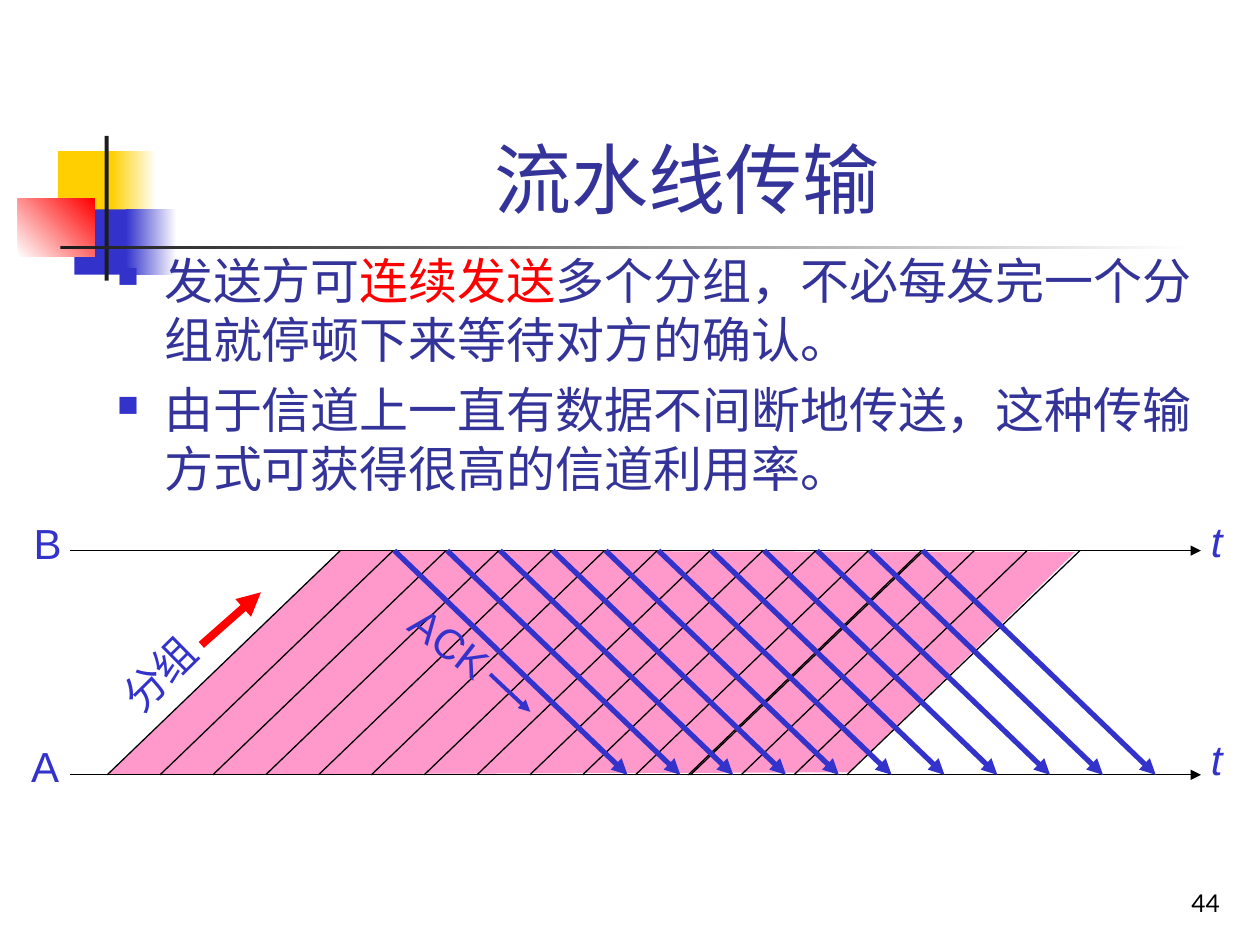
import pptx
import pptx.util
import pptx.dml.color
import pptx.enum.shapes
import pptx.enum.text
import pptx.oxml.ns
import lxml.etree

Cm, Pt = pptx.util.Cm, pptx.util.Pt
RGBColor = pptx.dml.color.RGBColor
MSO_SHAPE = pptx.enum.shapes.MSO_SHAPE
PP_ALIGN = pptx.enum.text.PP_ALIGN
MSO_ANCHOR = pptx.enum.text.MSO_ANCHOR
qn = pptx.oxml.ns.qn

WHITE = RGBColor(0xFF, 0xFF, 0xFF)
BLACK = RGBColor(0x00, 0x00, 0x00)
CHARCOAL = RGBColor(0x1C, 0x1C, 0x1C)
YELLOW = RGBColor(0xFF, 0xCF, 0x01)
RED = RGBColor(0xFF, 0x00, 0x00)
BLUE = RGBColor(0x33, 0x33, 0xCC)
NAVY = RGBColor(0x33, 0x33, 0x99)
PINK = RGBColor(0xFF, 0x99, 0xCC)

# Time diagram, in centimetres
LINE_A, LINE_B = 15.62, 11.1
SLANT = 4.7
FIRST_PACKET, LAST_PACKET, PACKETS = 2.16, 17.07, 15
STEP = (LAST_PACKET - FIRST_PACKET) / (PACKETS - 1)
FIRST_ACK, ACKS = 7.95, 11


def add_block(page, left, top, width, height, start, end=None, angle=0):
    """Add a rectangle with a plain fill, or a gradient when end is given."""
    block = page.shapes.add_shape(
        MSO_SHAPE.RECTANGLE, Cm(left), Cm(top), Cm(width), Cm(height))
    block.shadow.inherit = False
    block.line.fill.background()
    if end is None:
        block.fill.solid()
        block.fill.fore_color.rgb = start
    else:
        block.fill.gradient()
        block.fill.gradient_angle = angle
        for stop, color in zip(block.fill.gradient_stops, (start, end)):
            stop.color.rgb = color


def add_line(page, x1, y1, x2, y2, color=BLACK, width=0.75, arrow=False):
    line = page.shapes.add_connector(
        pptx.enum.shapes.MSO_CONNECTOR.STRAIGHT, Cm(x1), Cm(y1), Cm(x2), Cm(y2))
    line.line.color.rgb = color
    line.line.width = Pt(width)
    if arrow:
        outline = line.line._get_or_add_ln()
        lxml.etree.SubElement(outline, qn("a:tailEnd"), type="triangle")
    lxml.etree.SubElement(line._element.spPr, qn("a:effectLst"))


def add_box(page, left, top, width, height, anchor=MSO_ANCHOR.TOP, wrap=True):
    box = page.shapes.add_textbox(Cm(left), Cm(top), Cm(width), Cm(height))
    box.text_frame.word_wrap = wrap
    box.text_frame.vertical_anchor = anchor
    return box


def style(para, size, color, name="Arial", align=PP_ALIGN.LEFT):
    para.alignment = align
    para.font.size = Pt(size)
    para.font.name = name
    para.font.color.rgb = color


def add_label(page, text, left, top, width, rotation=0, italic=False):
    box = add_box(page, left, top, width, 1.27, wrap=False)
    box.text_frame.auto_size = pptx.enum.text.MSO_AUTO_SIZE.SHAPE_TO_FIT_TEXT
    box.rotation = rotation
    para = box.text_frame.paragraphs[0]
    para.text = text
    style(para, 24, BLUE)
    para.font.italic = italic


def add_bullet(para):
    properties = para._p.get_or_add_pPr()
    properties.set("marL", str(Cm(0.95)))
    properties.set("indent", str(-Cm(0.95)))
    color = lxml.etree.SubElement(properties, qn("a:buClr"))
    lxml.etree.SubElement(color, qn("a:srgbClr"), val=str(BLUE))
    lxml.etree.SubElement(properties, qn("a:buSzPct"), val="60000")
    lxml.etree.SubElement(properties, qn("a:buChar"), char="■")


def add_decoration(page):
    add_block(page, 1.17, 3.05, 1.22, 1.32, YELLOW)
    add_block(page, 2.24, 3.05, 0.91, 1.32, YELLOW, WHITE)
    add_block(page, 1.5, 4.22, 1.17, 1.32, BLUE)
    add_block(page, 2.54, 4.22, 1.02, 1.32, BLUE, WHITE)
    add_block(page, 0.36, 4.01, 1.55, 1.17, WHITE, RED, angle=45)
    add_block(page, 2.11, 2.74, 0.08, 2.92, CHARCOAL)
    add_block(page, 1.22, 4.95, 22.86, 0.08, CHARCOAL, WHITE)


def add_texts(page):
    # Page number and title
    for text, place, size, color, name, align in (
            ("44", (19.56, 17.35, 5.28, 1.27), 14, BLACK, "Lato", PP_ALIGN.RIGHT),
            ("流水线传输 ", (3.2, 0.58, 21.64, 4.06), 44, NAVY, "Arial",
             PP_ALIGN.CENTER)):
        para = add_box(page, *place, anchor=MSO_ANCHOR.BOTTOM).text_frame.paragraphs[0]
        para.text = text
        style(para, size, color, name, align)

    # Bulleted points
    points = (
        (("发送方可", NAVY), ("连续发送", RED),
         ("多个分组，不必每发完一个分组就停顿下来等待对方的确认。", NAVY)),
        (("由于信道上一直有数据不间断地传送，这种传输方式可获得很高的信道利用率。", NAVY),),
    )
    frame = add_box(page, 2.11, 4.93, 22.38, 5.79).text_frame
    for number, spans in enumerate(points):
        para = frame.add_paragraph() if number else frame.paragraphs[0]
        add_bullet(para)
        style(para, 28, NAVY)
        if number:
            para.space_before = Pt(6.6)
        for text, color in spans:
            span = para.add_run()
            span.text = text
            span.font.color.rgb = color


def add_diagram(page):
    # Band of packets
    corners = [(Cm(x), Cm(y)) for x, y in (
        (2.18, LINE_A), (6.86, LINE_B), (21.67, 11.13), (17.12, 15.57))]
    builder = page.shapes.build_freeform(*corners[0])
    builder.add_line_segments(corners[1:], close=True)
    band = builder.convert_to_shape()
    band.shadow.inherit = False
    band.fill.solid()
    band.fill.fore_color.rgb = PINK
    band.line.fill.background()

    # Time axes
    for y in (LINE_A, LINE_B):
        add_line(page, 1.42, y, 24.21, y, arrow=True)

    # Packet borders, one of them doubled
    borders = [FIRST_PACKET + number * STEP for number in range(PACKETS)]
    for x in borders + [13.92]:
        add_line(page, x, LINE_A, x + SLANT, LINE_B)

    # Labels and their direction arrows
    add_label(page, "B", 0.43, 10.31, 1.07)
    add_label(page, "A", 0.38, 14.81, 1.07)
    add_label(page, "t", 24.16, 10.26, 0.74, italic=True)
    add_label(page, "t", 24.16, 14.66, 0.74, italic=True)
    add_label(page, "分组", 2.11, 12.93, 2.21, rotation=315.3)
    add_label(page, "ACK", 7.95, 12.32, 2.26, rotation=37.8)
    add_line(page, 4.06, 13, 5.26, 11.94, RED, 4.5, arrow=True)
    add_line(page, 9.88, 13.59, 10.69, 14.35, BLUE, 2.25, arrow=True)

    # Acknowledgements
    for number in range(ACKS):
        x = FIRST_ACK + number * STEP
        add_line(page, x, LINE_B, x + SLANT, LINE_A, BLUE, 3, arrow=True)


def main():
    deck = pptx.Presentation()
    deck.slide_width, deck.slide_height = Cm(25.4), Cm(19.05)
    page = deck.slides.add_slide(deck.slide_layouts[6])
    add_decoration(page)
    add_texts(page)
    add_diagram(page)
    deck.save("out.pptx")


if __name__ == "__main__":
    main()
